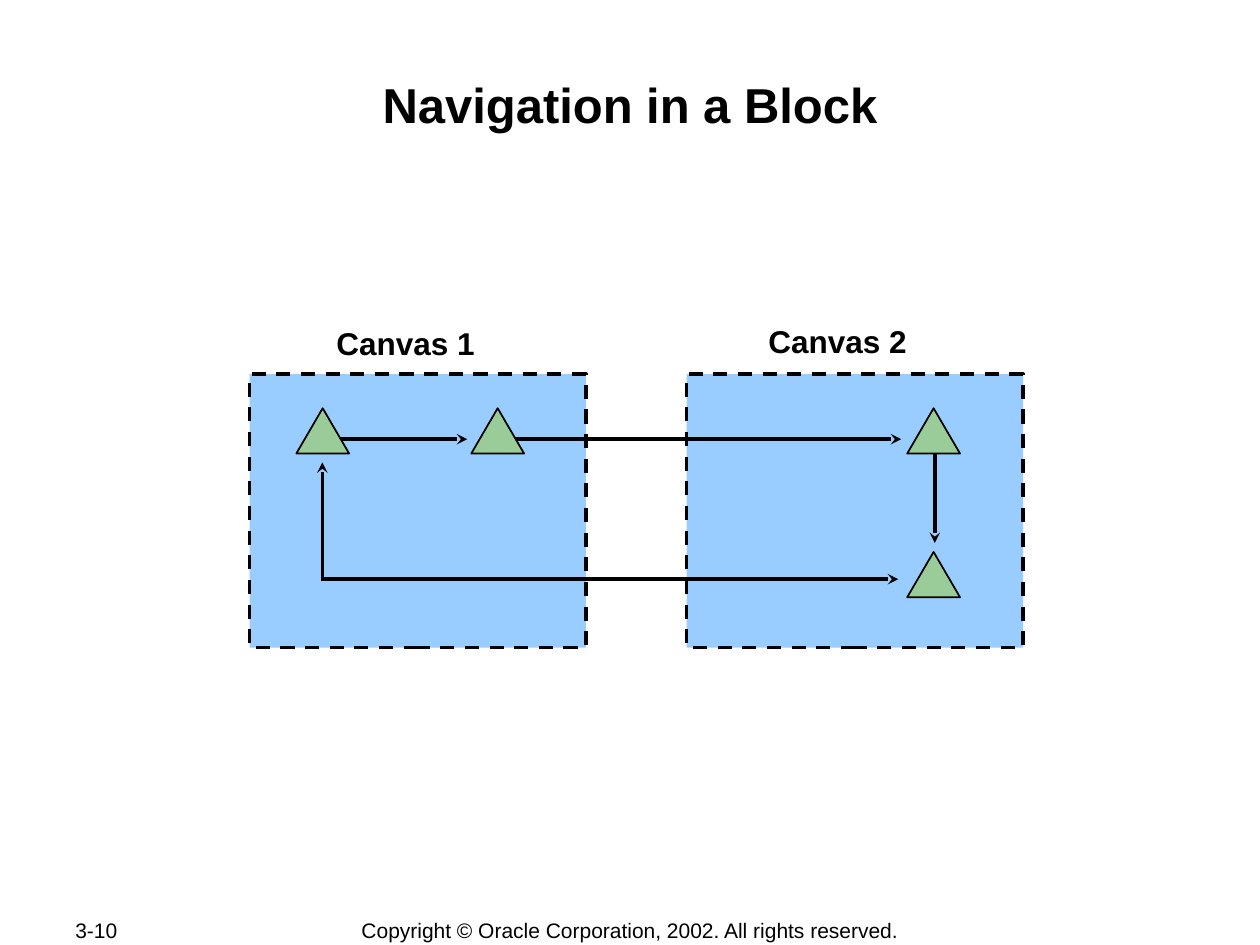
from dataclasses import dataclass

from lxml.etree import SubElement
from pptx import Presentation
from pptx.dml.color import RGBColor
from pptx.enum.dml import MSO_LINE
from pptx.enum.shapes import MSO_CONNECTOR, MSO_SHAPE
from pptx.enum.text import MSO_ANCHOR, MSO_AUTO_SIZE, PP_ALIGN
from pptx.oxml.ns import qn
from pptx.shapes.autoshape import Shape
from pptx.slide import Slide
from pptx.util import Pt


@dataclass(frozen=True)
class Theme:
    font: str = "Arial"
    ink: RGBColor = RGBColor(0x00, 0x00, 0x00)
    paper: RGBColor = RGBColor(0xFF, 0xFF, 0xFF)
    canvas: RGBColor = RGBColor(0x99, 0xCC, 0xFF)
    item: RGBColor = RGBColor(0x99, 0xCC, 0x99)
    title_size: float = 28
    label_size: float = 18
    footer_size: float = 12
    thick: float = 2
    thin: float = 1


@dataclass(frozen=True)
class Label:
    text: str
    left: float
    top: float
    width: float
    height: float
    size: float
    bold: bool = False
    align: PP_ALIGN = PP_ALIGN.LEFT
    anchor: MSO_ANCHOR = MSO_ANCHOR.TOP
    wrap: bool = False


@dataclass(frozen=True)
class Arrow:
    x1: float
    y1: float
    x2: float
    y2: float


THEME = Theme()

# Shared lengths, in points
CANVAS_TOP, CANVAS_WIDTH, CANVAS_HEIGHT = 213.8, 192.3, 156.3
CANVAS_LEFTS = (142.6, 392.4)
ITEM_WIDTH, ITEM_HEIGHT = 30.2, 25.9
UPPER_ROW, LOWER_ROW = 233.3, 315.4
ITEMS = ((169.3, UPPER_ROW), (269.3, UPPER_ROW),
         (518.4, LOWER_ROW), (518.4, UPPER_ROW))
UPPER_FLOW, LOWER_FLOW = 251, 331

LABELS = (
    Label("3-10", 36, 524.2, 76.3, 14.4, THEME.footer_size,
          anchor=MSO_ANCHOR.MIDDLE, wrap=True),
    Label("Copyright © Oracle Corporation, 2002. All rights reserved.",
          198.4, 524.2, 323.3, 15.1, THEME.footer_size,
          align=PP_ALIGN.CENTER, anchor=MSO_ANCHOR.MIDDLE),
    Label("Canvas 1", 185.2, 181.4, 93.6, 28.8, THEME.label_size, bold=True),
    Label("Canvas 2", 432, 180.4, 93.6, 28.8, THEME.label_size, bold=True),
)
ARROWS = (
    Arrow(185, UPPER_FLOW, 267, UPPER_FLOW),
    Arrow(283, UPPER_FLOW, 515, UPPER_FLOW),
    Arrow(184, LOWER_FLOW, 513.3, LOWER_FLOW),
    Arrow(184.2, 331.9, 184.2, 264.2),
    Arrow(534.2, 254.9, 534.2, 310.3),
)


def set_values(target: object, values: dict) -> None:
    for name, value in values.items():
        setattr(target, name, value)


def write(box: Shape, text: str, size: float, bold: bool,
          align: PP_ALIGN, inset: tuple, frame_values: dict) -> None:
    frame = box.text_frame
    across, down = (Pt(length) for length in inset)
    set_values(frame, {"margin_left": across, "margin_right": across,
                       "margin_top": down, "margin_bottom": down,
                       **frame_values})
    para = frame.paragraphs[0]
    para.alignment = align
    span = para.add_run()
    span.text = text
    set_values(span.font, {"name": THEME.font, "size": Pt(size), "bold": bold})
    span.font.color.rgb = THEME.ink


def add_title(page: Slide, text: str) -> None:
    title = page.shapes.title
    set_values(title, {"left": Pt(72), "top": Pt(41.8),
                       "width": Pt(576), "height": Pt(69)})
    write(title, text, THEME.title_size, True, PP_ALIGN.CENTER, (0.7, 0.7),
          {"vertical_anchor": MSO_ANCHOR.TOP, "word_wrap": True,
           "auto_size": MSO_AUTO_SIZE.NONE})


def add_label(page: Slide, label: Label) -> None:
    box = page.shapes.add_textbox(Pt(label.left), Pt(label.top),
                                  Pt(label.width), Pt(label.height))
    write(box, label.text, label.size, label.bold, label.align, (7.2, 3.6),
          {"vertical_anchor": label.anchor, "word_wrap": label.wrap})


def add_figure(page: Slide, kind: MSO_SHAPE, left: float, top: float,
               width: float, height: float, fill: RGBColor,
               weight: float) -> Shape:
    figure = page.shapes.add_shape(kind, Pt(left), Pt(top), Pt(width), Pt(height))
    figure.shadow.inherit = False
    figure.fill.solid()
    figure.fill.fore_color.rgb = fill
    figure.line.color.rgb = THEME.ink
    figure.line.width = Pt(weight)
    return figure


def add_arrow(page: Slide, arrow: Arrow) -> None:
    connector = page.shapes.add_connector(
        MSO_CONNECTOR.STRAIGHT, Pt(arrow.x1), Pt(arrow.y1),
        Pt(arrow.x2), Pt(arrow.y2))
    connector.line.color.rgb = THEME.ink
    connector.line.width = Pt(THEME.thick)
    SubElement(connector.line._get_or_add_ln(), qn("a:tailEnd"), type="stealth")
    SubElement(connector._element.spPr, qn("a:effectLst"))


def main() -> None:
    deck = Presentation()
    deck.slide_width, deck.slide_height = Pt(720), Pt(540)
    page = deck.slides.add_slide(deck.slide_layouts[5])
    page.background.fill.solid()
    page.background.fill.fore_color.rgb = THEME.paper
    add_title(page, "Navigation in a Block")

    # Dashed canvases
    for left in CANVAS_LEFTS:
        canvas = add_figure(page, MSO_SHAPE.RECTANGLE, left, CANVAS_TOP,
                            CANVAS_WIDTH, CANVAS_HEIGHT, THEME.canvas, THEME.thick)
        canvas.line.dash_style = MSO_LINE.DASH

    # Footer and canvas names
    for label in LABELS:
        add_label(page, label)

    # Navigation arrows, then the items that cover their starts
    for arrow in ARROWS:
        add_arrow(page, arrow)
    for left, top in ITEMS:
        add_figure(page, MSO_SHAPE.ISOSCELES_TRIANGLE, left, top,
                   ITEM_WIDTH, ITEM_HEIGHT, THEME.item, THEME.thin)

    deck.save("out.pptx")


if __name__ == "__main__":
    main()
